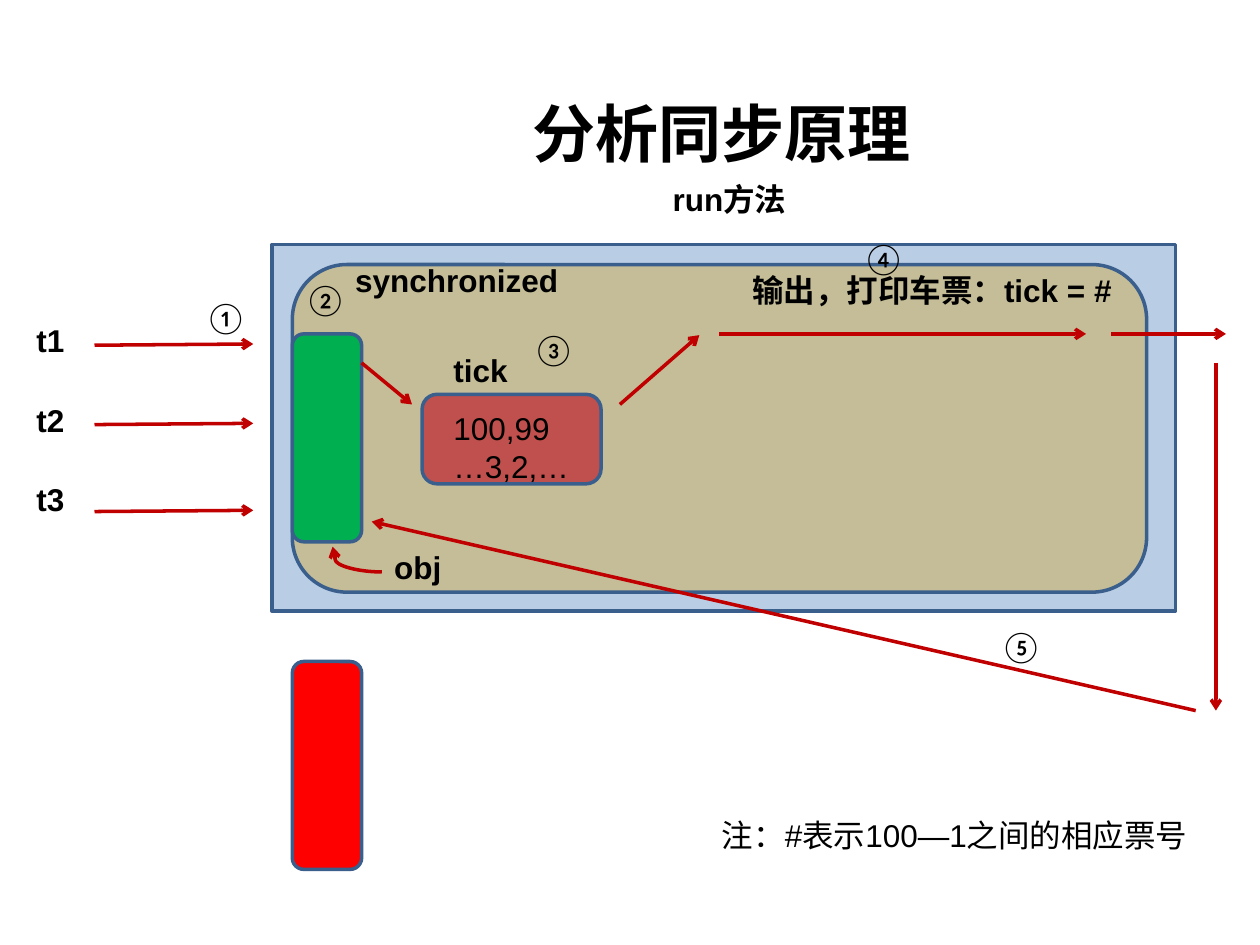
from lxml.etree import SubElement as Sub
from pptx import Presentation
from pptx.dml.color import RGBColor
from pptx.enum.shapes import MSO_CONNECTOR as Link, MSO_SHAPE as Form
from pptx.enum.text import MSO_ANCHOR as Anchor, MSO_AUTO_SIZE as Fit, PP_ALIGN as Align
from pptx.oxml.ns import qn
from pptx.util import Inches, Pt

BLACK = RGBColor(0, 0, 0)
BLUE = RGBColor(0xB9, 0xCD, 0xE5)
EDGE = RGBColor(0x3A, 0x5F, 0x8C)
TAN = RGBColor(0xC4, 0xBD, 0x97)
GREEN = RGBColor(0, 0xB0, 0x50)
BRICK = RGBColor(0xC0, 0x50, 0x4D)
RED = RGBColor(0xFF, 0, 0)
DARK = RGBColor(0xC0, 0, 0)

BOLD = {"name": "Arial", "size": Pt(18), "bold": True}
PLAIN = {"name": "Arial", "size": Pt(18), "bold": False}
MARK = {"name": "Calibri", "size": Pt(18), "bold": False}
HEAD = {"name": "Arial", "size": Pt(36), "bold": True}


def style(shape, words, form, wrap=True):
    """Write words into a shape in the given format."""
    frame = shape.text_frame
    frame.text = words
    look = {"word_wrap": wrap, "auto_size": Fit.SHAPE_TO_FIT_TEXT, "vertical_anchor": Anchor.TOP}
    for key, value in look.items():
        setattr(frame, key, value)
    for para in frame.paragraphs:
        para.alignment = Align.LEFT
        for run in para.runs:
            for key, value in form.items():
                setattr(run.font, key, value)
            run.font.color.rgb = BLACK


def label(slide, words, x, y, w, h=0.4, form=BOLD):
    """Add a wrapped text box."""
    box = slide.shapes.add_textbox(*map(Inches, (x, y, w, h)))
    style(box, words, form)


def mark(slide, words, x, y):
    """Add a circled step number."""
    box = slide.shapes.add_textbox(*map(Inches, (x, y, 0.45, 0.4)))
    style(box, words, MARK, False)


def block(slide, fill, x, y, w, h, form=Form.ROUNDED_RECTANGLE):
    """Add a filled and outlined block."""
    shape = slide.shapes.add_shape(form, *map(Inches, (x, y, w, h)))
    shape.shadow.inherit = False
    shape.fill.solid()
    shape.fill.fore_color.rgb = fill
    shape.line.color.rgb = EDGE
    shape.line.width = Pt(2)


def arrow(slide, x1, y1, x2, y2, kind=Link.STRAIGHT):
    """Add a red arrow between two points."""
    line = slide.shapes.add_connector(kind, *map(Inches, (x1, y1, x2, y2)))
    line.line.color.rgb = DARK
    line.line.width = Pt(2)
    props = line._element.spPr
    Sub(props.find(qn("a:ln")), qn("a:tailEnd"), type="arrow")
    Sub(props, qn("a:effectLst"))
    return line


def title(slide, x, y, w, h):
    """Set the slide title and the caption below it."""
    head = slide.shapes.title
    place = {"left": x, "top": y, "width": w, "height": h}
    for key, value in place.items():
        setattr(head, key, Inches(value))
    style(head, "分析同步原理", HEAD)
    label(slide, "run方法", x + 1.11, y + 0.68, 1.34)


def method(slide, x, y, w, h):
    """Draw the run method with its synchronized block."""
    block(slide, BLUE, x, y, w, h, Form.RECTANGLE)
    block(slide, TAN, x + 0.16, y + 0.16, w - 0.39, h - 0.31)
    block(slide, GREEN, x + 0.16, y + 0.71, 0.55, 1.65)
    label(slide, "synchronized", x + 0.56, y + 0.08, 1.89)
    label(slide, "输出，打印车票：tick = #", x + 3.71, y + 0.16, 3.15)
    label(slide, "obj", x + 0.87, y + 2.36, 0.71)
    curve = arrow(slide, x + 0.87, y + 2.6, x + 0.48, y + 2.4, Link.CURVE)
    bend = curve._element.spPr.find(qn("a:prstGeom")).find(qn("a:avLst"))
    Sub(bend, qn("a:gd"), name="adj1", fmla="val 95000")
    arrow(slide, x + 0.71, y + 0.94, x + 1.11, y + 1.27)
    arrow(slide, x + 2.76, y + 1.27, x + 3.39, y + 0.72)
    arrow(slide, x + 3.55, y + 0.71, x + 6.46, y + 0.71)
    mark(slide, "②", x + 0.16, y + 0.23)
    mark(slide, "④", x + 4.59, y - 0.09)


def ticket(slide, x, y, w, h):
    """Draw the ticket counter."""
    block(slide, BRICK, x, y, w, h)
    label(slide, "tick", x + 0.15, y - 0.39, w)
    label(slide, "100,99…3,2,…", x + 0.15, y + 0.07, 1.18, h, PLAIN)
    mark(slide, "③", x + 0.78, y - 0.56)


def threads(slide, x, y, w, h):
    """Draw the three waiting threads with their arrows."""
    for i, drop in enumerate((0.24, 0.24, 0.3)):
        top = y + i * h / 3
        label(slide, f"t{i + 1}", x, top, 1.02)
        arrow(slide, x + 0.56, top + drop, x + w, top + drop - 0.01)
    mark(slide, "①", x + 1.34, y - 0.18)


def retry(slide, x, y, w, h):
    """Draw the way out of the method and back to the lock."""
    right = x + w
    arrow(slide, right - 0.91, y, right, y)
    arrow(slide, right - 0.08, y + 0.23, right - 0.08, y + h)
    arrow(slide, right - 0.24, y + h, x, y + 1.49)
    mark(slide, "⑤", x + 4.89, y + 2.28)


def main():
    """Build and save the slide."""
    deck = Presentation()
    deck.slide_width, deck.slide_height = Inches(10), Inches(7.5)
    slide = deck.slides.add_slide(deck.slide_layouts[5])
    title(slide, 4.13, 0.7, 4.13, 0.71)
    method(slide, 2.16, 1.94, 7.17, 2.91)
    ticket(slide, 3.35, 3.13, 1.42, 0.71)
    threads(slide, 0.19, 2.5, 1.82, 1.89)
    retry(slide, 2.95, 2.65, 6.78, 2.99)
    block(slide, RED, 2.32, 5.25, 0.55, 1.65)
    label(slide, "注：#表示100—1之间的相应票号", 5.63, 6.43, 4.02, form=PLAIN)
    deck.save("out.pptx")


main()
